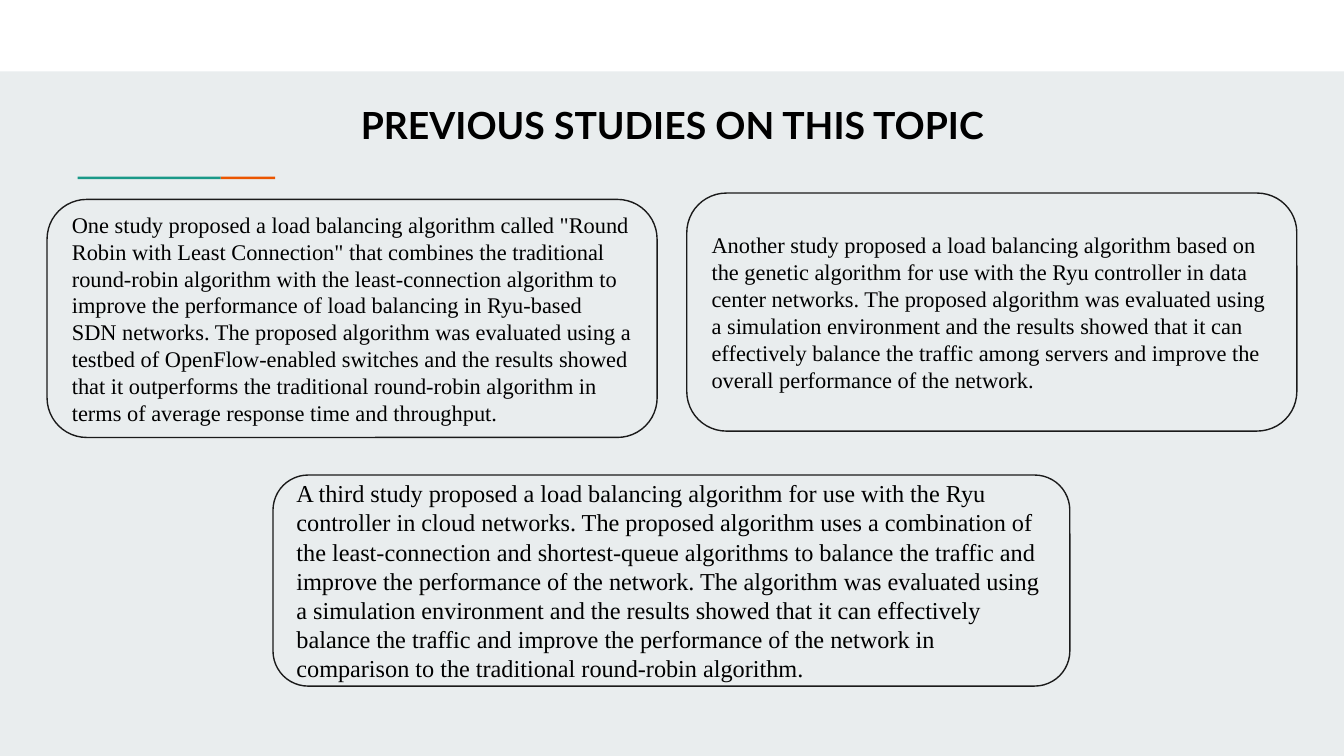
from pptx import Presentation
from pptx.dml.color import RGBColor
from pptx.enum.shapes import MSO_SHAPE
from pptx.enum.text import MSO_ANCHOR, PP_ALIGN
from pptx.util import Cm, Pt

BACKGROUND = "E9EDEE"
BLACK = "000000"
STUDY_WIDTH, STUDY_HEIGHT = 11.53, 4.5

ROUND_ROBIN_STUDY = (
    'One study proposed a load balancing algorithm called "Round Robin with Least '
    'Connection" that combines the traditional round-robin algorithm with the '
    "least-connection algorithm to improve the performance of load balancing in "
    "Ryu-based SDN networks. The proposed algorithm was evaluated using a testbed of "
    "OpenFlow-enabled switches and the results showed that it outperforms the "
    "traditional round-robin algorithm in terms of average response time and throughput."
)
GENETIC_STUDY = (
    "Another study proposed a load balancing algorithm based on the genetic algorithm "
    "for use with the Ryu controller in data center networks. The proposed algorithm "
    "was evaluated using a simulation environment and the results showed that it can "
    "effectively balance the traffic among servers and improve the overall performance "
    "of the network."
)
CLOUD_STUDY = (
    "A third study proposed a load balancing algorithm for use with the Ryu controller "
    "in cloud networks. The proposed algorithm uses a combination of the "
    "least-connection and shortest-queue algorithms to balance the traffic and improve "
    "the performance of the network. The algorithm was evaluated using a simulation "
    "environment and the results showed that it can effectively balance the traffic and "
    "improve the performance of the network in comparison to the traditional "
    "round-robin algorithm."
)


def color(value):
    return RGBColor.from_string(value)


def add_block(page, kind, place, fill):
    block = page.shapes.add_shape(kind, *map(Cm, place))
    block.shadow.inherit = False
    block.fill.solid()
    block.fill.fore_color.rgb = color(fill)
    block.line.fill.background()
    return block


def write(box, text, font_name, size, align, anchor, bold=False):
    frame = box.text_frame
    frame.word_wrap = True
    frame.vertical_anchor = anchor
    frame.margin_left = frame.margin_right = Cm(0.25)
    frame.margin_top = frame.margin_bottom = Cm(0.25)
    paragraph = frame.paragraphs[0]
    paragraph.text = text
    paragraph.alignment = align
    font = paragraph.font
    font.name = font_name
    font.size = Pt(size)
    font.bold = bold
    font.color.rgb = color(BLACK)


def add_title(page, place, text):
    box = page.shapes.add_textbox(*map(Cm, place))
    write(box, text, "Lato", 20, PP_ALIGN.CENTER, MSO_ANCHOR.TOP, bold=True)


def add_study(page, place, text, size):
    box = add_block(page, MSO_SHAPE.ROUNDED_RECTANGLE, place, BACKGROUND)
    box.line.color.rgb = color("1A1A1A")
    box.line.width = Pt(0.75)
    write(box, text, "Times New Roman", size, PP_ALIGN.LEFT, MSO_ANCHOR.MIDDLE)


def main():
    deck = Presentation()
    deck.slide_width, deck.slide_height = Cm(25.4), Cm(14.29)
    page = deck.slides.add_slide(deck.slide_layouts[6])
    page.background.fill.solid()
    page.background.fill.fore_color.rgb = color(BACKGROUND)

    add_block(page, MSO_SHAPE.RECTANGLE, (0, 0, 25.4, 1.35), "FFFFFF")
    add_block(page, MSO_SHAPE.RECTANGLE, (4.17, 3.34, 1.03, 0.05), "EB5600")
    add_block(page, MSO_SHAPE.RECTANGLE, (1.47, 3.34, 2.7, 0.05), "1A9988")

    add_study(page, (0.89, 3.77, STUDY_WIDTH, STUDY_HEIGHT), ROUND_ROBIN_STUDY, 12)
    add_study(page, (5.16, 8.98, 15.06, 3.99), CLOUD_STUDY, 13)
    add_study(page, (12.98, 3.65, STUDY_WIDTH, STUDY_HEIGHT), GENETIC_STUDY, 12)
    add_title(page, (5.23, 1.68, 14.96, 1.37), "PREVIOUS STUDIES ON THIS TOPIC")

    deck.save("out.pptx")


if __name__ == "__main__":
    main()
